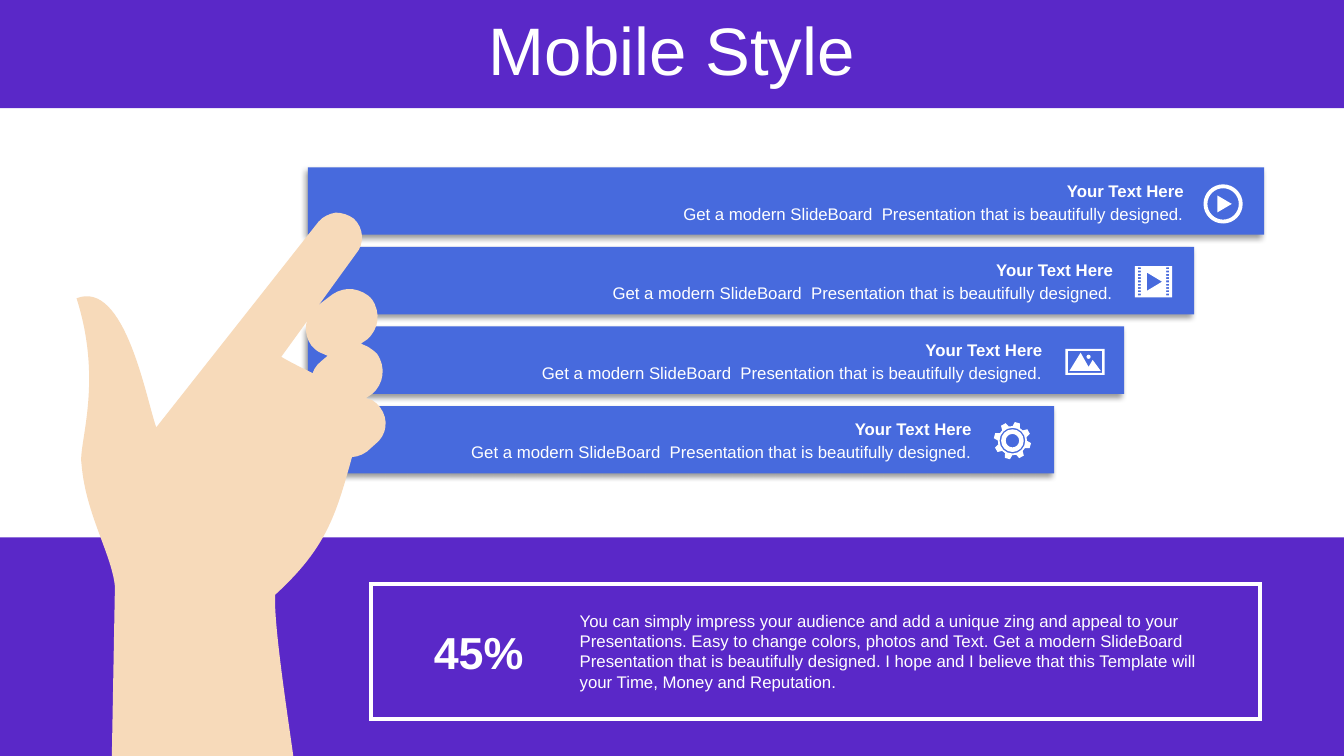
from math import cos, sin, radians
from lxml import etree
from pptx import Presentation
from pptx.dml.color import RGBColor
from pptx.enum.shapes import MSO_SHAPE as Shape
from pptx.enum.text import MSO_ANCHOR as Anchor, PP_ALIGN as Align
from pptx.oxml.ns import qn
from pptx.util import Pt

# Content: heading, detail, icon name, icon centre
TITLE = "Mobile Style"
HEADING = "Your Text Here"
DETAIL = "Get a modern SlideBoard  Presentation that is beautifully designed."
BARS = [
    (HEADING, DETAIL, "play", (873.7, 145.7)),
    (HEADING, DETAIL, "film", (824, 201.2)),
    (HEADING, DETAIL, "photo", (775.1, 258.5)),
    (HEADING, DETAIL, "gear", (723.2, 314.8)),
]
SHARE = "45%"
SUMMARY = (
    "You can simply impress your audience and add a unique zing and appeal to your "
    "Presentations. Easy to change colors, photos and Text. Get a modern SlideBoard  "
    "Presentation that is beautifully designed. I hope and I believe that this "
    "Template will your Time, Money and Reputation."
)
PURPLE, BLUE, SKIN, WHITE = "5A28C8", "476ADD", "F7DABA", "FFFFFF"

# Outlines in points: pairs are corners, sixes are cubic curves
HAND = [
    (239.8, 151.9),
    (244.1, 151.9, 249.1, 153.4, 252.7, 156.2),
    (259.9, 162.7, 260.6, 174.2, 254.2, 181.4),
    (200.9, 254.9),
    (226.1, 270, 262.8, 279.4, 257.8, 303.8),
    (241.2, 361.4, 239, 385.9, 196.6, 424.8),
    (195.1, 445, 206.6, 518.4, 209.5, 540),
    (79.9, 540),
    (82.1, 419),
    (79.9, 396, 61.2, 367.2, 58.3, 331.9),
    (55.4, 318.2, 74.2, 274.3, 54.7, 213.1),
    (89.3, 199.4, 104.4, 285.1, 111.6, 305.3),
    (227.5, 158.4),
    (230.4, 154.8, 235.4, 152.6, 239.8, 151.9),
]
FINGERS = [
    (252, 206.6),
    (257, 207.4, 262.1, 209.5, 265.7, 213.8),
    (272.2, 223.2, 270.7, 235.4, 262.1, 242.6),
    (257.8, 245.5),
    (262.8, 247.7),
    (265, 249.1, 267.1, 250.6, 269.3, 252.7),
    (275.8, 262.1, 274.3, 274.3, 265.7, 281.5),
    (261.4, 284.4),
    (265.7, 285.8),
    (267.8, 287.3, 270, 288.7, 271.4, 290.9),
    (277.9, 299.5, 276.5, 311, 267.8, 317.5),
    (262.1, 322.6),
    (253.4, 329, 241.2, 327.6, 234.7, 319),
    (229, 311.8, 229.7, 301.7, 235.4, 294.5),
    (237.6, 293),
    (232.6, 290.9),
    (229.7, 289.4, 228.2, 288, 226.1, 285.8),
    (219.6, 277.2, 221, 264.2, 229.7, 257.8),
    (234, 254.2),
    (229, 252),
    (226.8, 251.3, 224.6, 249.1, 222.5, 247),
    (216, 238.3, 217.4, 225.4, 226.1, 218.9),
    (237.6, 210.2),
    (241.9, 207.4, 247, 205.9, 252, 206.6),
]

deck = Presentation()
deck.slide_width, deck.slide_height = Pt(960), Pt(540)
page = deck.slides.add_slide(deck.slide_layouts[6])


def color(value):
    return RGBColor.from_string(value)


# Drawing helpers
def paint(shape, fill):
    shape.shadow.inherit = False
    shape.fill.solid()
    shape.fill.fore_color.rgb = color(fill)
    shape.line.fill.background()
    return shape


def rect(x, y, w, h):
    return page.shapes.add_shape(Shape.RECTANGLE, Pt(x), Pt(y), Pt(w), Pt(h))


def label(words, x, y, w, h, align=Align.LEFT, anchor=Anchor.TOP, spacing=1.0, **font):
    box = page.shapes.add_textbox(Pt(x), Pt(y), Pt(w), Pt(h))
    frame = box.text_frame
    frame.word_wrap, frame.vertical_anchor = True, anchor
    para = frame.paragraphs[0]
    para.alignment, para.line_spacing = align, spacing
    span = para.add_run()
    span.text = words
    for key, value in {"name": "Arial", "size": Pt(12), **font}.items():
        setattr(span.font, key, value)
    span.font.color.rgb = color(WHITE)


def block(left, top, right, bottom):
    return [(left, top), (right, top), (right, bottom), (left, bottom)]


def outline_shape(contours, fill, center, size, angle=0, origin=(0, 0)):
    """Contours are measured from origin; angle turns the frame, not what shows."""
    (cx, cy), (w, h) = center, size
    corners = [(Pt(x), Pt(y)) for x, y in block(cx - w / 2, cy - h / 2, cx + w / 2, cy + h / 2)]
    builder = page.shapes.build_freeform(*corners[0], scale=1.0)
    shape = builder.add_line_segments(corners[1:], close=True).convert_to_shape()
    outline = shape._element.spPr.find(".//" + qn("a:path"))
    for step in list(outline):
        outline.remove(step)
    turn = radians(-angle)
    for contour in contours:
        for number, part in enumerate(contour):
            kind = "cubicBezTo" if len(part) == 6 else "lnTo" if number else "moveTo"
            step = etree.SubElement(outline, qn("a:" + kind))
            for px, py in zip(part[::2], part[1::2]):
                dx, dy = px - origin[0], py - origin[1]
                x = dx * cos(turn) - dy * sin(turn) + w / 2
                y = dx * sin(turn) + dy * cos(turn) + h / 2
                etree.SubElement(step, qn("a:pt"), x=str(Pt(x)), y=str(Pt(y)))
        etree.SubElement(outline, qn("a:close"))
    shape.rotation = angle
    paint(shape, fill)


# Icon contours around their own centre
def polar(radius, degrees):
    return radius * cos(radians(degrees)), radius * sin(radians(degrees))


def circle(r, x=0, y=0):
    k = 0.55 * r
    return [
        (x + r, y),
        (x + r, y + k, x + k, y + r, x, y + r),
        (x - k, y + r, x - r, y + k, x - r, y),
        (x - r, y - k, x - k, y - r, x, y - r),
        (x + k, y - r, x + r, y - k, x + r, y),
    ]


def frame_of(w, h):
    return block(-w / 2, -h / 2, w / 2, h / 2)


def gear_rim(teeth=8, first=-74.5):
    corners = ((10.4, -15), (13.4, -8), (13.4, 8), (10.4, 15))
    return [polar(r, first + n * 360 / teeth + turn) for n in range(teeth) for r, turn in corners]


ICONS = {
    "play": ((28, 28), [circle(14), circle(11.2), [(-4, -6), (6.2, 0), (-4, 6)]]),
    "film": ((26.6, 22.3), [frame_of(26.6, 22.3), [(-4.7, -6.5), (6.1, 0), (-4.7, 6.5)]]
             + [block(x, y, x + 2.2, y + 1.3)
                for x in (-11.2, 9) for y in (-10.2 + 2.34 * row for row in range(9))]),
    "photo": ((28, 18.7), [
        frame_of(28, 18.7), frame_of(24.5, 15.8), circle(1.5, 2.5, -3.6),
        [(-3.2, -6.5), (2.5, 3.6), (5.4, -1.4), (11.2, 6.5), (-11.2, 6.5)],
    ]),
    "gear": ((26.6, 26.6), [gear_rim(), circle(9.2), circle(8.1), circle(4.8)]),
}


def cast_shadow(shape):
    effects = shape._element.spPr.find(qn("a:effectLst"))
    outer = etree.SubElement(effects, qn("a:outerShdw"), blurRad=str(Pt(4)), dist=str(Pt(3)),
                             dir=str(135 * 60000), algn="tr", rotWithShape="0")
    tone = etree.SubElement(outer, qn("a:srgbClr"), val="000000")
    etree.SubElement(tone, qn("a:alpha"), val="40000")


# Bars, each shorter than the one above
BAR_LEFT, BAR_TOP, BAR_WIDTH, BAR_HEIGHT = 220, 119.5, 683, 48.2
PITCH, SHORTER, TEXT_STEP = 56.85, 50, 50.5
bar_tops = [BAR_TOP + PITCH * n for n in range(len(BARS))]
for n, top in enumerate(bar_tops):
    cast_shadow(paint(rect(BAR_LEFT, top, BAR_WIDTH - SHORTER * n, BAR_HEIGHT), BLUE))

# Bands and hand
paint(rect(0, 383.8, 960, 156.2), PURPLE)
HAND_CENTER = (161.3, 343.4)
outline_shape([HAND], SKIN, HAND_CENTER, (332.6, 401.8), 41.4, HAND_CENTER)
paint(rect(0, 0, 960, 77.2), PURPLE)
label(TITLE, 0, 10.4, 960, 56.2, Align.CENTER, Anchor.MIDDLE, 0.9, size=Pt(48))

# Bar texts
for n, ((heading, detail, *_), top) in enumerate(zip(BARS, bar_tops)):
    text_left = 464.7 - TEXT_STEP * n
    label(detail, text_left, top + 22.3, 388, 21.6, Align.RIGHT)
    label(heading, text_left, top + 5.8, 388, 21.6, Align.RIGHT, bold=True)

# Summary panel
panel = rect(265, 417.4, 635, 96.5)
panel.shadow.inherit = False
panel.fill.background()
panel.line.color.rgb, panel.line.width = color(WHITE), Pt(3)
etree.SubElement(panel.line._get_or_add_ln(), qn("a:miter"), lim="800000")
label(SHARE, 296.6, 442.3, 90.7, 46.1, Align.CENTER, Anchor.MIDDLE, size=Pt(32), bold=True)
label(SUMMARY, 407, 432.8, 465.8, 65.5)

# Icons
for *_, icon, center in BARS:
    size, contours = ICONS[icon]
    outline_shape(contours, WHITE, center, size)

# Fingertips over the bars
FINGERS_CENTER = (249.8, 265.7)
outline_shape([FINGERS], SKIN, FINGERS_CENTER, (103.7, 87.8), 52.5, FINGERS_CENTER)

deck.save("out.pptx")
